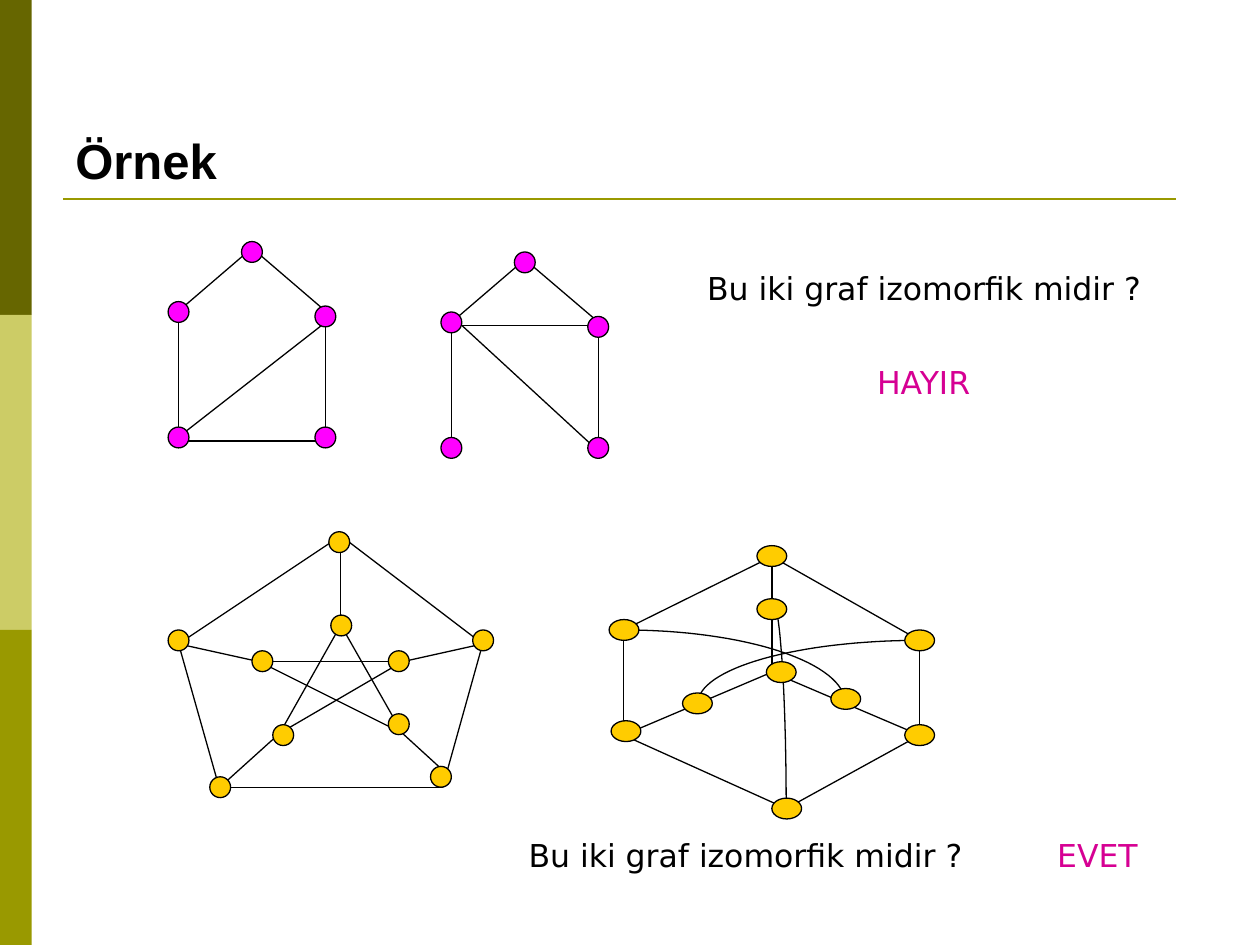
from dataclasses import dataclass
from math import cos, pi, sin

from lxml import etree
from pptx import Presentation
from pptx.dml.color import RGBColor
from pptx.enum import shapes, text
from pptx.oxml import ns
from pptx.util import Cm, Pt

COLORS = {
    "black": "000000", "magenta": "FF00FF", "gold": "FFCC00", "answer": "D60093",
    "dark olive": "666600", "light olive": "CCCC66", "olive": "999900",
}
Point = tuple[float, float]
Segment = tuple[Point, Point]


@dataclass
class Graph:
    color: str
    node_width: float
    nodes: list[Point]
    edges: list[Segment]
    arcs: tuple[Segment, ...] = ()


@dataclass
class Label:
    words: str
    left: float
    top: float
    width: float
    height: float = 1.02
    color: str = "black"
    font: str = "DejaVu Sans"
    size: int = 18
    bold: bool = False
    align: text.PP_ALIGN = text.PP_ALIGN.CENTER
    anchor: text.MSO_ANCHOR = text.MSO_ANCHOR.TOP


def rgb(name: str) -> RGBColor:
    return RGBColor.from_string(COLORS[name])


def join(points: dict[str, Point], pairs: str) -> list[Segment]:
    return [(points[pair[0]], points[pair[1]]) for pair in pairs.split()]


def draw_line(parent, segment: Segment, color: str = "black", weight: float = 0.75) -> None:
    (x1, y1), (x2, y2) = segment
    line = parent.add_connector(shapes.MSO_CONNECTOR.STRAIGHT, Cm(x1), Cm(y1), Cm(x2), Cm(y2))
    line.line.color.rgb = rgb(color)
    line.line.width = Pt(weight)
    etree.SubElement(line._element.spPr, ns.qn("a:effectLst"))


def draw_arc(parent, segment: Segment, steps: int = 32) -> None:
    (x1, y1), (x2, y2) = segment
    angles = [pi / 2 * step / steps for step in range(steps + 1)]
    points = [(Cm(x1 + (x2 - x1) * sin(a)), Cm(y2 + (y1 - y2) * cos(a))) for a in angles]
    builder = parent.build_freeform(*points[0])
    builder.add_line_segments(points[1:], close=False)
    arc = builder.convert_to_shape()
    arc.shadow.inherit = False
    arc.fill.background()
    arc.line.color.rgb = rgb("black")
    arc.line.width = Pt(0.75)


def draw_node(parent, corner: Point, width: float, color: str) -> None:
    node = parent.add_shape(
        shapes.MSO_SHAPE.OVAL, Cm(corner[0]), Cm(corner[1]), Cm(width), Cm(0.42))
    node.shadow.inherit = False
    node.fill.solid()
    node.fill.fore_color.rgb = rgb(color)
    node.line.color.rgb = rgb("black")
    node.line.width = Pt(0.75)


def draw_graph(page, graph: Graph) -> None:
    group = page.shapes.add_group_shape().shapes
    for edge in graph.edges:
        draw_line(group, edge)
    for arc in graph.arcs:
        draw_arc(group, arc)
    for corner in graph.nodes:
        draw_node(group, corner, graph.node_width, graph.color)


def draw_label(page, label: Label) -> None:
    box = page.shapes.add_textbox(
        Cm(label.left), Cm(label.top), Cm(label.width), Cm(label.height))
    frame = box.text_frame
    frame.word_wrap = True
    frame.vertical_anchor = label.anchor
    frame.text = label.words
    para = frame.paragraphs[0]
    para.alignment = label.align
    font = para.runs[0].font
    font.name = label.font
    font.size = Pt(label.size)
    font.bold = label.bold
    font.color.rgb = rgb(label.color)


def draw_sidebar(page) -> None:
    for index, color in enumerate(("dark olive", "light olive", "olive")):
        band = page.shapes.add_shape(
            shapes.MSO_SHAPE.RECTANGLE, 0, Cm(6.35 * index), Cm(0.64), Cm(6.35))
        band.shadow.inherit = False
        band.fill.solid()
        band.fill.fore_color.rgb = rgb(color)
        band.line.fill.background()


HOUSE_NODES = [(6.35, 8.61), (3.39, 8.61), (6.35, 6.17), (4.87, 4.87), (3.39, 6.08)]
HOUSE = {
    "a": (3.6, 8.89), "b": (6.56, 8.89), "c": (3.6, 6.35), "d": (6.56, 6.35),
    "e": (3.6, 8.81), "f": (6.56, 6.5), "g": (3.6, 6.27), "h": (5.08, 5), "i": (6.56, 6.27),
}
SHIFTED_HOUSE = {
    "a": (9.1, 6.56), "b": (12.07, 6.56), "c": (9.1, 9.1), "d": (12.07, 9.1),
    "e": (9.31, 6.56), "f": (9.1, 6.5), "g": (10.58, 5.23), "h": (12.07, 6.5),
}
PENTAGON = {
    "T": (6.87, 10.8), "L": (3.6, 12.98), "R": (9.73, 12.98), "A": (4.42, 15.88),
    "B": (8.92, 15.88), "t": (6.87, 12.6), "l": (5.23, 13.34), "r": (8.11, 13.34),
    "a": (5.64, 14.78), "b": (8.11, 14.78), "s": (8.92, 15.52),
}
CUBE = {
    "H": (15.56, 13.55), "A": (12.57, 14.82), "B": (18.54, 14.82), "D": (15.85, 16.3),
    "T": (15.56, 11.22), "L": (12.57, 12.7), "R": (18.54, 12.91),
}
GRAPHS = [
    Graph("magenta", 0.42, HOUSE_NODES, join(HOUSE, "ab ca db ef gh hi")),
    Graph("magenta", 0.42, [(x + 5.5, y + 0.21) for x, y in HOUSE_NODES],
          join(SHIFTED_HOUSE, "ed ab ac bd fg gh")),
    Graph("gold", 0.42,
          [(3.39, 12.7), (9.53, 12.7), (8.68, 15.45), (4.23, 15.66), (5.08, 13.12),
           (6.67, 12.4), (6.63, 10.72), (7.83, 13.12), (7.83, 14.39), (5.5, 14.61)],
          join(PENTAGON, "TL TR LA RB AB ta tb lr lb ra tT rR lL aA bs")),
    Graph("gold", 0.6,
          [(15.26, 11), (15.56, 16.09), (18.24, 14.61), (18.24, 12.7), (12.28, 12.49),
           (12.32, 14.53), (15.26, 12.07), (13.76, 13.97), (16.75, 13.88), (15.45, 13.34)],
          join(CUBE, "HA HB AD BD HT AL BR TL TR"),
          ((CUBE["L"], (17.04, 14.18)), (CUBE["R"], (14.07, 14.18)),
           ((15.56, 12.07), CUBE["D"]))),
]
QUESTION = "Bu iki graf izomorfik midir ?"
LABELS = [
    Label("Örnek", 1.27, 0.76, 22.86, 3.18, font="Arial", size=28, bold=True,
          align=text.PP_ALIGN.LEFT, anchor=text.MSO_ANCHOR.BOTTOM),
    Label(QUESTION, 13.34, 5.29, 10.58),
    Label("HAYIR", 13.12, 7.2, 11, color="answer"),
    Label(QUESTION, 9.74, 16.72, 10.58),
    Label("EVET", 19.69, 16.72, 4.87, color="answer"),
]


def main() -> None:
    deck = Presentation()
    deck.slide_width, deck.slide_height = Cm(25.4), Cm(19.05)
    page = deck.slides.add_slide(deck.slide_layouts[6])
    draw_sidebar(page)
    draw_line(page.shapes, ((1.27, 4.01), (23.7, 4.01)), "olive", 1.5)
    for label in LABELS:
        draw_label(page, label)
    for graph in GRAPHS:
        draw_graph(page, graph)
    deck.save("out.pptx")


if __name__ == "__main__":
    main()
